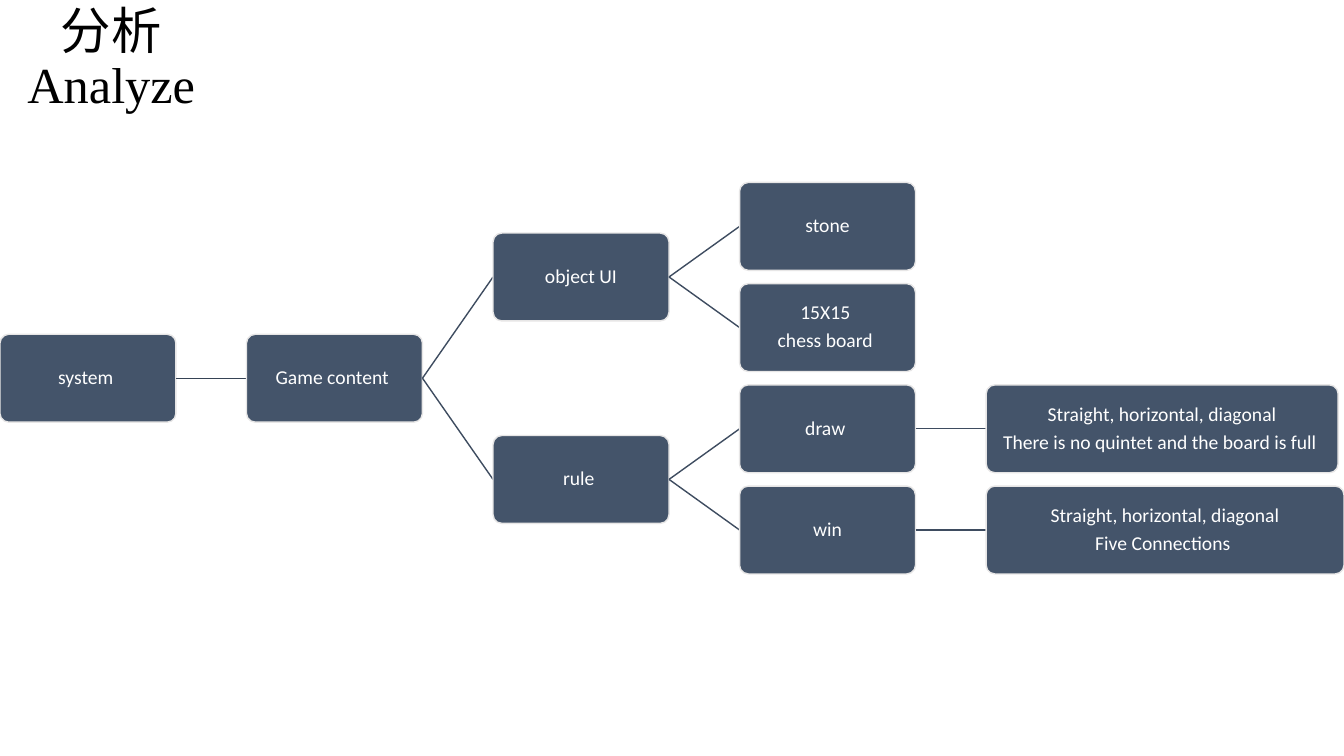
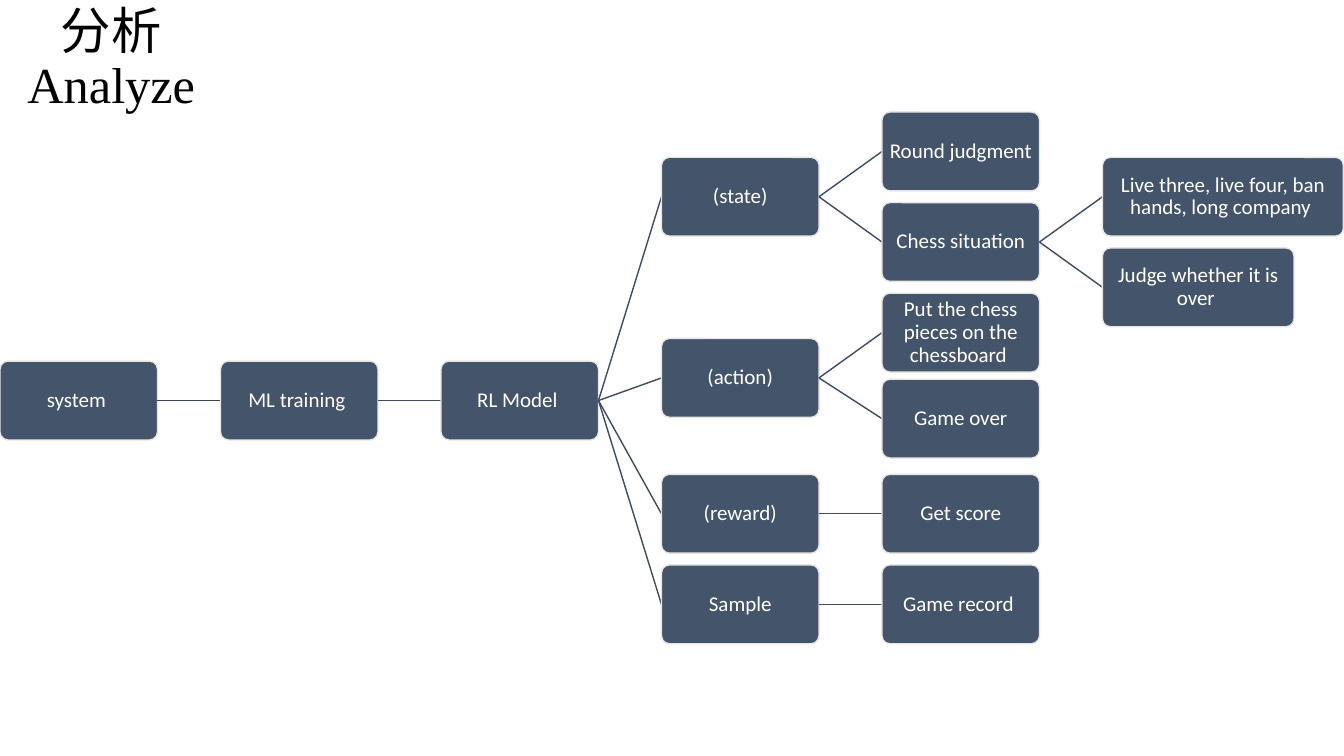
from lxml import etree
from pptx import Presentation
from pptx.dml.color import RGBColor
from pptx.enum.shapes import MSO_CONNECTOR, MSO_SHAPE
from pptx.enum.text import MSO_ANCHOR, PP_ALIGN
from pptx.oxml.ns import qn
from pptx.util import Pt

ROUNDED = MSO_SHAPE.ROUNDED_RECTANGLE
STRAIGHT = MSO_CONNECTOR.STRAIGHT
MIDDLE = MSO_ANCHOR.MIDDLE
CENTER = PP_ALIGN.CENTER

COLORS = {
    "node": "44546A",
    "border": "E7E6E6",
    "trunk": "364355",
    "branch": "3E4C60",
    "label": "FFFFFF",
    "title": "000000",
}
TITLE = "分析\vAnalyze"
TITLE_FONT = {"name": "Times New Roman", "size": Pt(36)}
NODE_FRAME = {
    "margin_left": Pt(2.7),
    "margin_right": Pt(2.7),
    "margin_top": Pt(2.7),
    "margin_bottom": Pt(2.7),
}

# Each node is (level, row, label) with an optional width; a node hangs
# from the latest node one level above it.
TREES = [
    {
        "width": 125.7, "height": 62.8, "column_step": 176.1,
        "row_step": 72.3, "first_row": 161.7, "size": 14,
        "nodes": [
            (0, 1.5, "system "),
            (1, 1.5, "Game content "),
            (2, 0.5, "object UI"),
            (3, 0, "stone"),
            (3, 1, "15X15 \nchess board "),
            (2, 2.5, "rule "),
            (3, 2, "draw "),
            (4, 2, "Straight, horizontal, diagonal\n"
                   "There is no quintet and the board is full ", 251.4),
            (3, 3, "win"),
            (4, 3, "Straight, horizontal, diagonal\nFive Connections ", 255.6),
        ],
    },
    {
        "width": 112.5, "height": 56.3, "column_step": 157.5,
        "row_step": 64.7, "first_row": 108.2, "size": 15,
        "nodes": [
            (0, 2.75, "system "),
            (1, 2.75, "ML training "),
            (2, 2.75, "RL Model "),
            (3, 0.5, "(state)"),
            (4, 0, "Round judgment "),
            (4, 1, "Chess situation"),
            (5, 0.5, "Live three, live four, ban hands, long company ", 172.1),
            (5, 1.5, "Judge whether it is over ", 136.8),
            (3, 2.5, "(action)"),
            (4, 2, "Put the chess pieces on the chessboard "),
            (4, 2.95, "Game over"),
            (3, 4, "(reward)"),
            (4, 4, "Get score"),
            (3, 5, "Sample"),
            (4, 5, "Game record "),
        ],
    },
]


def rgb(role):
    """Return the colour that belongs to a role."""
    return RGBColor.from_string(COLORS[role])


def write(shape, text, font, role, frame_format, space_after=0):
    """Write centred text, one paragraph for each line."""
    frame = shape.text_frame
    frame.text = text
    frame.word_wrap = True
    frame.vertical_anchor = MIDDLE
    for name, value in frame_format.items():
        setattr(frame, name, value)
    for paragraph in frame.paragraphs:
        paragraph.alignment = CENTER
        paragraph.line_spacing = 0.9
        paragraph.space_after = Pt(space_after)
        for run in paragraph.runs:
            for name, value in font.items():
                setattr(run.font, name, value)
            run.font.color.rgb = rgb(role)


deck = Presentation()
deck.slide_width, deck.slide_height = Pt(960), Pt(540)
blank = deck.slide_layouts[6]

for tree in TREES:
    slide = deck.slides.add_slide(blank)
    node_font = {"name": "Calibri", "size": Pt(tree["size"])}
    branch_starts = {}

    for level, row, label, *own_width in tree["nodes"]:
        width = own_width[0] if own_width else tree["width"]
        left = level * tree["column_step"]
        middle = tree["first_row"] + row * tree["row_step"]

        if level:
            start_x, start_y = branch_starts[level - 1]
            branch = slide.shapes.add_connector(
                STRAIGHT, Pt(start_x), Pt(start_y), Pt(left), Pt(middle))
            branch.line.color.rgb = rgb("trunk" if level == 1 else "branch")
            branch.line.width = Pt(1)
            etree.SubElement(branch._element.spPr, qn("a:effectLst"))
        branch_starts[level] = (left + width, middle)

        node = slide.shapes.add_shape(
            ROUNDED, Pt(left), Pt(middle - tree["height"] / 2),
            Pt(width), Pt(tree["height"]))
        node.adjustments[0] = 0.1
        node.shadow.inherit = False
        node.fill.solid()
        node.fill.fore_color.rgb = rgb("node")
        node.line.color.rgb = rgb("border")
        node.line.width = Pt(1)
        write(node, label, node_font, "label", NODE_FRAME, 0.35 * tree["size"])

    title = slide.shapes.add_textbox(0, 0, Pt(159), Pt(85.7))
    write(title, TITLE, TITLE_FONT, "title", {})

deck.save("out.pptx")
